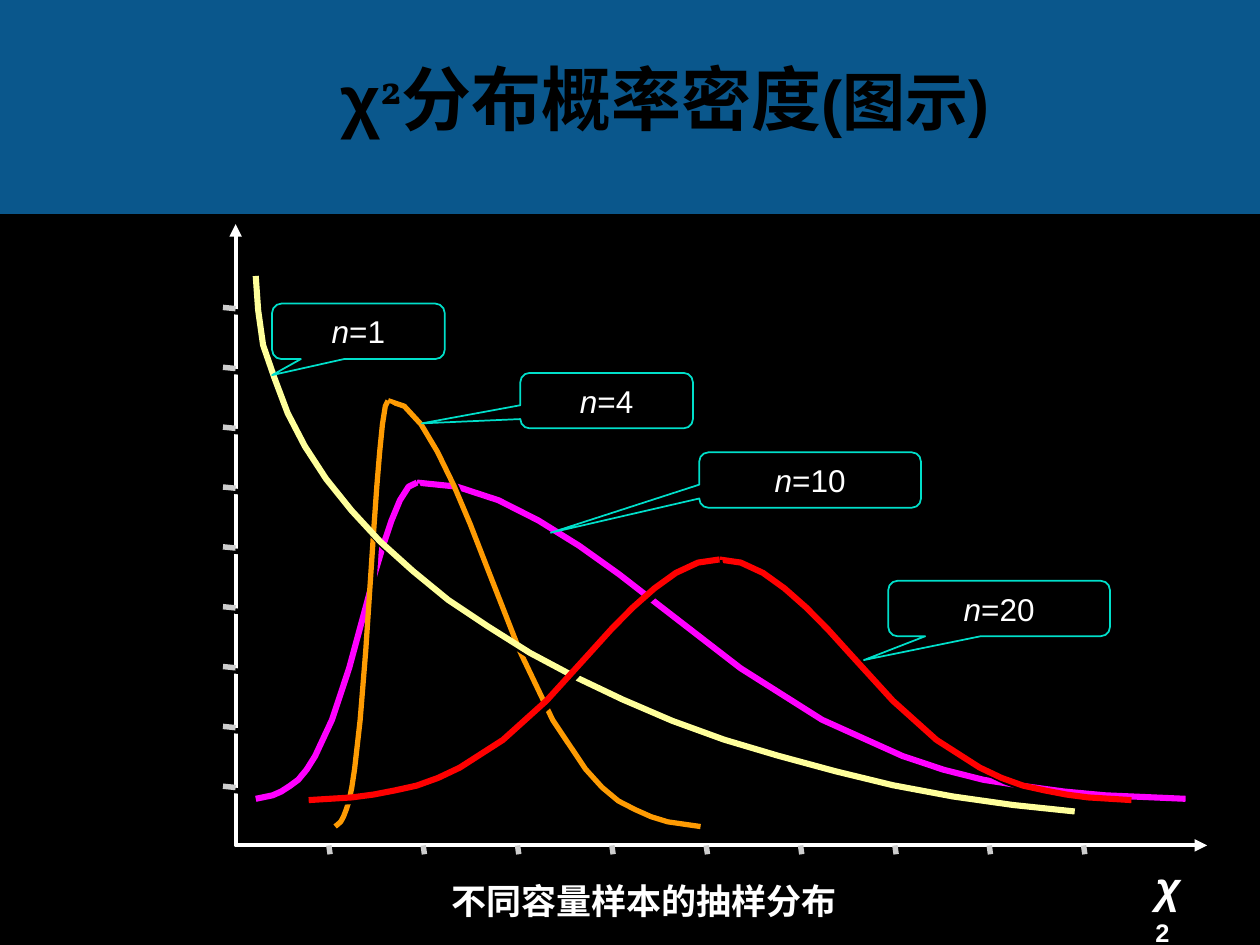
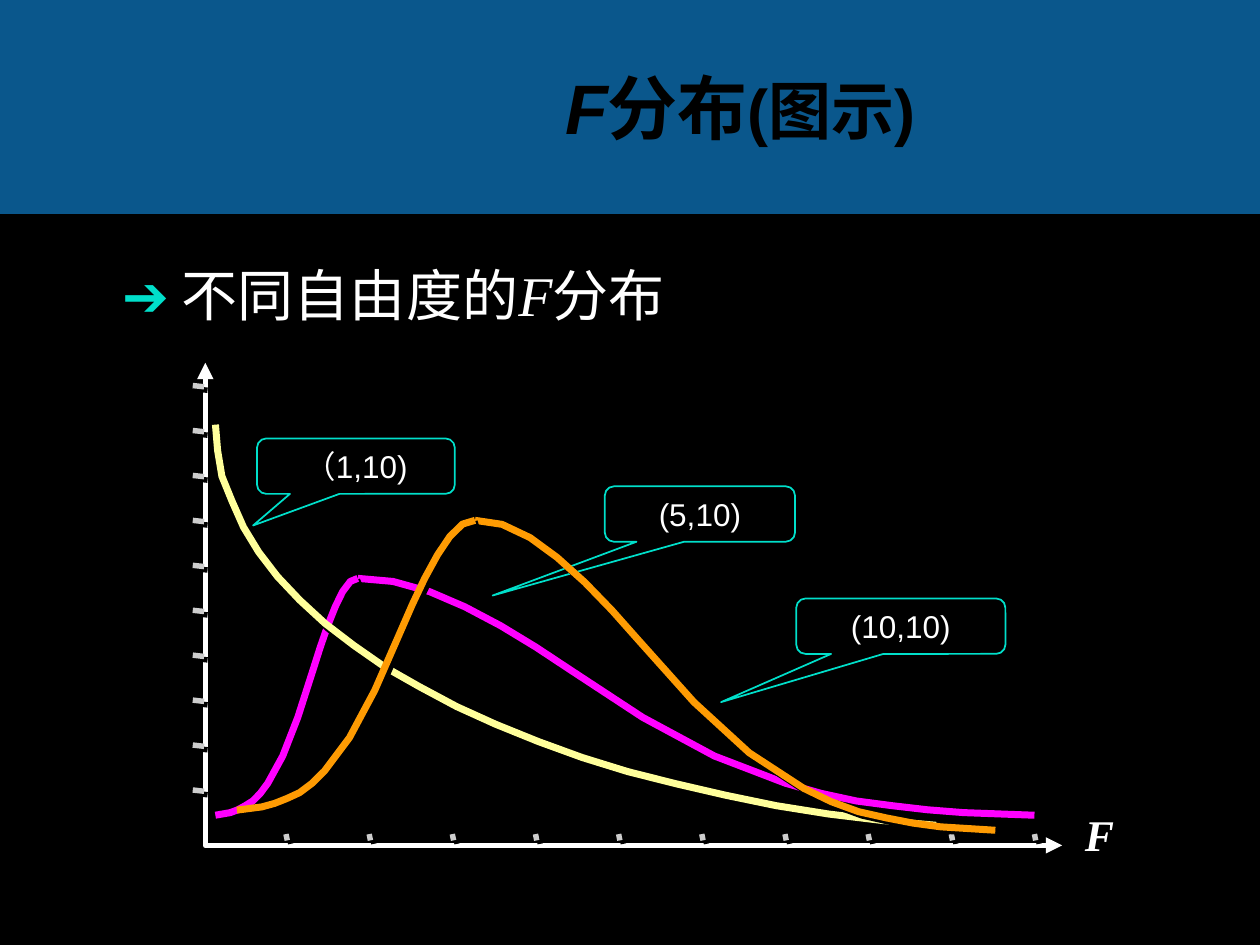
from lxml.etree import SubElement
from pptx import Presentation
from pptx.dml.color import RGBColor
from pptx.enum.shapes import MSO_CONNECTOR, MSO_SHAPE
from pptx.enum.text import MSO_ANCHOR as Anchor, PP_ALIGN as Align
from pptx.oxml.ns import qn
from pptx.util import Inches, Pt

COLORS = {
    "band": "0A578C", "black": "000000", "white": "FFFFFF", "tick": "CDCDCD",
    "teal": "00DFCA", "magenta": "FF00FF", "orange": "FE9B03",
    "yellow": "FFFF9B", "red": "FF0000",
}
SERIF = "Times New Roman"

# Curve profiles, in percent of the curve's width and height.
HALF_BELL = [
    (0, 0), (10.5, 1.1), (15.8, 2.3), (21, 4), (26.3, 6), (31.5, 9.2),
    (36.8, 13.5), (47.3, 25), (57.9, 41.3), (68.4, 61), (73.7, 71),
    (78.9, 80), (84.2, 88), (89.4, 94.4), (94.8, 98.7), (100, 100),
]
DECAY = [
    (0, 0), (0.3, 6.4), (0.9, 12.9), (2.3, 19.1), (3.9, 25.6), (6, 31.8),
    (8.6, 37.9), (11.7, 43.8), (15.2, 49.6), (19.2, 55.1), (23.5, 60.5),
    (28.3, 65.4), (33.5, 70.4), (38.9, 74.8), (44.8, 79.1), (50.9, 83.1),
    (57.2, 86.6), (63.8, 89.6), (70.8, 92.5), (77.8, 95.1), (85.1, 97.2),
    (92.5, 98.8), (100, 100),
]

# A run is (text, style); a style only lists what differs from its label.
# Curves are (kind, colour, width, start, [peak,] end); callouts are
# (kind, box, pointer, runs). They are listed from back to front.
SLIDES = [
    {
        "title_box": (1.4, 0.24, 7.75, 1.13),
        "title": [("χ", {}), ("2", {"font": "Vollkorn", "raised": True}),
                  ("分布概率密度", {"font": "Vollkorn"}), ("(图示)", {"size": 36})],
        "labels": [
            {"box": (3.58, 6.98, 3.07, 0.33), "size": 20, "bold": True,
             "runs": [("不同容量样本的抽样分布", {})]},
            {"box": (9.17, 6.82, 0.4, 0.41), "size": 25, "bold": True, "wrap": True,
             "runs": [("χ ", {"italic": True}), ("2", {"raised": True})]},
        ],
        "axes": [(1.87, 1.78), (1.87, 6.71), (9.58, 6.71)],
        "axis_width": 2.38,
        "y_ticks": {"first": 2.44, "last": 6.24, "count": 9, "span": (1.77, 1.87)},
        "x_ticks": {"first": 2.61, "last": 8.6, "count": 9, "span": (6.71, 6.78)},
        "layers": [
            ("bell", "magenta", 3.5, (2.03, 6.34), (3.31, 3.83), (9.41, 6.34)),
            ("bell", "orange", 3, (2.66, 6.56), (3.08, 3.18), (5.56, 6.56)),
            ("decay", "yellow", 3.5, (2.03, 2.19), (8.53, 6.44)),
            ("bell", "red", 3.5, (2.45, 6.35), (5.71, 4.44), (8.98, 6.35)),
            ("callout", (2.16, 2.41, 1.37), (-0.5, 0.79),
             [("n", {"italic": True}), ("=1", {})]),
            ("callout", (4.13, 2.96, 1.37), (-1.07, 0.41),
             [("n", {"italic": True}), ("=4", {})]),
            ("callout", (5.55, 3.59, 1.76), (-1.17, 0.95),
             [("n", {"italic": True}), ("=10", {})]),
            ("callout", (7.05, 4.61, 1.76), (-0.61, 0.93),
             [("n", {"italic": True}), ("=20", {})]),
        ],
    },
    {
        "title_box": (2, 0.25, 7.75, 1.25),
        "title": [("F", {"italic": True}), ("分布", {}), ("(图示)", {"size": 36})],
        "labels": [
            {"box": (0.97, 2.07, 7.7, 0.53), "size": 32, "wrap": True,
             "runs": [("➔ ", {"font": SERIF, "color": "teal", "bold": True}),
                      ("不同自由度的", {}), ("F", {"font": SERIF, "italic": True}),
                      ("分布", {})]},
            {"box": (8.61, 6.41, 0.23, 0.42), "size": 25, "bold": True,
             "runs": [("F", {"font": SERIF, "italic": True})]},
        ],
        "axes": [(1.63, 2.88), (1.63, 6.71), (8.43, 6.71)],
        "axis_width": 3.13,
        "y_ticks": {"first": 3.06, "last": 6.27, "count": 10, "span": (1.53, 1.62)},
        "x_ticks": {"first": 2.27, "last": 8.21, "count": 10, "span": (6.62, 6.67)},
        "layers": [
            ("bell", "magenta", 4, (1.71, 6.47), (2.84, 4.59), (8.21, 6.47)),
            ("decay", "yellow", 4, (1.71, 3.37), (7.43, 6.55)),
            ("callout", (2.04, 3.48, 1.57), (-0.52, 1.07), [("（1,10)", {})]),
            ("callout", (4.8, 3.86, 1.51), (-1.09, 1.47), [("(5,10)", {})]),
            ("callout", (6.32, 4.75, 1.66), (-0.86, 1.37), [("(10,10)", {})]),
            ("bell", "orange", 4, (1.88, 6.43), (3.77, 4.13), (7.9, 6.59)),
        ],
    },
]


def rgb(name):
    return RGBColor.from_string(COLORS[name])


def inches(values):
    return [Inches(value) for value in values]


def write_runs(para, runs, **base):
    for text, changes in runs:
        style = {"font": "Arial", "color": "white", **base, **changes}
        span = para.add_run()
        span.text = text
        span.font.name = style["font"]
        span.font.size = Pt(style["size"])
        span.font.bold = style.get("bold", False)
        span.font.italic = style.get("italic", False)
        span.font.color.rgb = rgb(style["color"])
        if style.get("raised"):
            span.font._element.set("baseline", "30000")


def add_title(page, place, runs):
    box = page.shapes.add_textbox(*inches(place))
    frame = box.text_frame
    frame.word_wrap = True
    frame.vertical_anchor = Anchor.MIDDLE
    para = frame.paragraphs[0]
    para.alignment = Align.CENTER
    para.line_spacing = 0.95
    write_runs(para, runs, size=40, bold=True, color="black")


def add_label(page, box, runs, size, bold=False, wrap=False):
    frame = page.shapes.add_textbox(*inches(box)).text_frame
    frame.margin_left = frame.margin_right = 0
    frame.margin_top = frame.margin_bottom = 0
    frame.word_wrap = wrap
    write_runs(frame.paragraphs[0], runs, size=size, bold=bold)


def style_stroke(shape, color, width, distance=2.8, angle=45):
    """Colour a line and give it the black offset shadow that parts crossing lines."""
    shape.line.color.rgb = rgb(color)
    shape.line.width = Pt(width)
    effects = SubElement(shape._element.spPr, qn("a:effectLst"))
    shadow = SubElement(effects, qn("a:outerShdw"), dist=str(Pt(distance)),
                        dir=str(angle * 60000), algn="ctr", rotWithShape="0")
    SubElement(shadow, qn("a:srgbClr"), val=COLORS["black"])


def add_path(page, points, color, width, **shadow):
    start, *rest = [inches(point) for point in points]
    builder = page.shapes.build_freeform(*start)
    builder.add_line_segments(rest, close=False)
    path = builder.convert_to_shape()
    path.fill.background()
    style_stroke(path, color, width, **shadow)
    return path


def fit(profile, start, end):
    """Stretch a percent profile between two corner points."""
    return [tuple(a + (b - a) * part / 100 for a, b, part in zip(start, end, point))
            for point in profile]


def add_bell(page, color, width, left_foot, peak, right_foot):
    for foot in (right_foot, left_foot):
        add_path(page, fit(HALF_BELL, foot, peak), color, width)


def add_decay(page, color, width, start, end):
    add_path(page, fit(DECAY, start, end), color, width, distance=3.6, angle=56)


def add_callout(page, place, pointer, runs):
    callout = page.shapes.add_shape(
        MSO_SHAPE.ROUNDED_RECTANGULAR_CALLOUT, *inches((*place, 0.44)))
    callout.adjustments[0], callout.adjustments[1] = pointer
    callout.fill.background()
    callout.line.color.rgb = rgb("teal")
    callout.line.width = Pt(1)
    callout.shadow.inherit = False
    frame = callout.text_frame
    frame.vertical_anchor = Anchor.MIDDLE
    para = frame.paragraphs[0]
    para.alignment = Align.CENTER
    write_runs(para, runs, size=18)


def add_axes(page, points, width):
    axes = add_path(page, points, "white", width)
    line = axes._element.spPr.find(qn("a:ln"))
    for end in ("a:headEnd", "a:tailEnd"):
        SubElement(line, qn(end), type="triangle")


def add_ticks(page, first, last, count, span, vertical):
    near, far = span
    for index in range(count):
        place = first + (last - first) * index / (count - 1)
        ends = (near, place, far, place + 0.01)
        if vertical:
            ends = (place, near, place + 0.01, far)
        tick = page.shapes.add_connector(MSO_CONNECTOR.STRAIGHT, *inches(ends))
        style_stroke(tick, "tick", 3.13)


LAYER_BUILDERS = {"bell": add_bell, "decay": add_decay, "callout": add_callout}


def add_page(deck, content):
    page = deck.slides.add_slide(deck.slide_layouts[6])
    page.background.fill.solid()
    page.background.fill.fore_color.rgb = rgb("band")
    panel = page.shapes.add_shape(MSO_SHAPE.RECTANGLE, *inches((0, 1.7, 10, 5.8)))
    panel.fill.solid()
    panel.fill.fore_color.rgb = rgb("black")
    panel.line.fill.background()
    panel.shadow.inherit = False
    add_title(page, content["title_box"], content["title"])
    for label in content["labels"]:
        add_label(page, **label)
    add_axes(page, content["axes"], content["axis_width"])
    add_ticks(page, **content["y_ticks"], vertical=False)
    add_ticks(page, **content["x_ticks"], vertical=True)
    for kind, *details in content["layers"]:
        LAYER_BUILDERS[kind](page, *details)


def main():
    deck = Presentation()
    deck.slide_width, deck.slide_height = Inches(10), Inches(7.5)
    for content in SLIDES:
        add_page(deck, content)
    deck.save("out.pptx")


if __name__ == "__main__":
    main()
